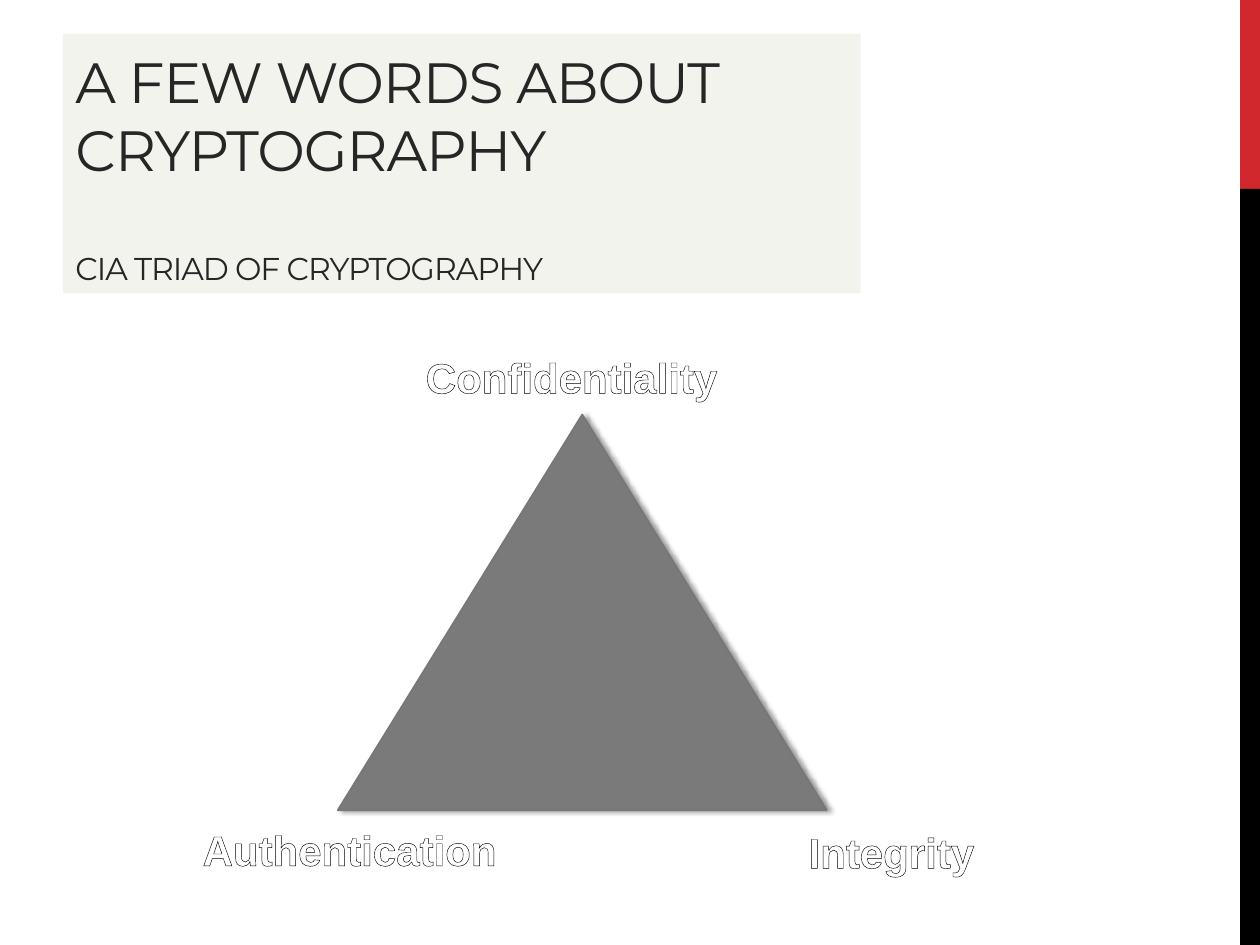
from lxml import etree
from pptx import Presentation
from pptx.dml.color import RGBColor
from pptx.enum import shapes, text
from pptx.oxml import ns
from pptx.util import Pt

RED = RGBColor(0xD1, 0x28, 0x2E)
BLACK = RGBColor(0, 0, 0)
WHITE = RGBColor(0xFF, 0xFF, 0xFF)
SAGE = RGBColor(0xC8, 0xC8, 0xB1)
CHARCOAL = RGBColor(0x26, 0x26, 0x26)
GRAY = RGBColor(0x7A, 0x7A, 0x7A)
EDGE_GRAY = RGBColor(0x77, 0x77, 0x77)

CORNER_LABELS = [
    ("Confidentiality", 236.2, 197.3, 195.8),
    ("Authentication", 108.7, 467.3, 186.5),
    ("Integrity", 455, 468.7, 152),
]


def add_child(parent, tag, **attributes):
    child = etree.SubElement(parent, ns.qn(tag))
    for name, value in attributes.items():
        child.set(name, str(value))
    return child


def add_color(parent, color, opacity=None):
    color_element = add_child(parent, "a:srgbClr", val=color)
    if opacity is not None:
        add_child(color_element, "a:alpha", val=opacity * 1000)


def add_filled_shape(slide, kind, left, top, width, height, fill, opacity=None):
    shape = slide.shapes.add_shape(kind, Pt(left), Pt(top), Pt(width), Pt(height))
    shape.shadow.inherit = False
    shape.fill.solid()
    shape.fill.fore_color.rgb = fill
    shape.line.fill.background()
    if opacity is not None:
        color_element = shape._element.spPr.find(".//" + ns.qn("a:srgbClr"))
        add_child(color_element, "a:alpha", val=opacity * 1000)
    return shape


def add_shadow(shape, color, opacity, blur, distance):
    effects = shape._element.spPr.find(ns.qn("a:effectLst"))
    shadow = add_child(effects, "a:outerShdw", blurRad=Pt(blur), dist=Pt(distance),
                       dir=0, algn="ctr", rotWithShape=0)
    add_color(shadow, color, opacity)


def write_text(paragraph, content, *, size, font, color, bold=False,
               spacing=None, outline=None, space_before=0):
    paragraph.alignment = text.PP_ALIGN.LEFT
    paragraph.space_before = Pt(space_before)
    run = paragraph.add_run()
    run.text = content
    run.font.size = Pt(size)
    run.font.name = font
    run.font.bold = bold
    run.font.color.rgb = color
    properties = run.font._element
    if spacing is not None:
        properties.set("spc", str(round(spacing * 100)))
    if outline is not None:
        line = add_child(properties, "a:ln", w=Pt(0.75))
        add_color(add_child(line, "a:solidFill"), outline)
        properties.insert(0, line)


def add_title(slide):
    panel = add_filled_shape(slide, shapes.MSO_SHAPE.RECTANGLE,
                             36, 19.4, 455.8, 148.3, SAGE, opacity=21)
    frame = panel.text_frame
    frame.word_wrap = True
    frame.vertical_anchor = text.MSO_ANCHOR.BOTTOM
    style = dict(font="Montserrat", color=CHARCOAL, spacing=-0.6)
    write_text(frame.paragraphs[0], "A FEW WORDS ABOUT CRYPTOGRAPHY", size=32.4, **style)
    write_text(frame.add_paragraph(), "CIA TRIAD OF CRYPTOGRAPHY", size=18,
               space_before=38, **style)


def add_triangle(slide):
    triangle = add_filled_shape(slide, shapes.MSO_SHAPE.ISOSCELES_TRIANGLE,
                                193, 236.9, 279.4, 226.1, GRAY)
    triangle.line.color.rgb = EDGE_GRAY
    triangle.line.width = Pt(1)
    add_shadow(triangle, BLACK, opacity=40, blur=3.1, distance=1.8)


def add_corner_label(slide, content, left, top, width):
    box = slide.shapes.add_textbox(Pt(left), Pt(top), Pt(width), Pt(36))
    frame = box.text_frame
    frame.word_wrap = True
    frame.auto_size = text.MSO_AUTO_SIZE.SHAPE_TO_FIT_TEXT
    write_text(frame.paragraphs[0], content, size=24, font="Arial",
               color=WHITE, bold=True, outline=BLACK)


def main():
    presentation = Presentation()
    presentation.slide_width = Pt(720)
    presentation.slide_height = Pt(540)
    slide = presentation.slides.add_slide(presentation.slide_layouts[6])
    for top, height, color in [(0, 108, RED), (108, 432, BLACK)]:
        add_filled_shape(slide, shapes.MSO_SHAPE.RECTANGLE, 708.6, top, 11.4, height, color)
    add_title(slide)
    add_triangle(slide)
    for label in CORNER_LABELS:
        add_corner_label(slide, *label)
    presentation.save("out.pptx")


if __name__ == "__main__":
    main()
